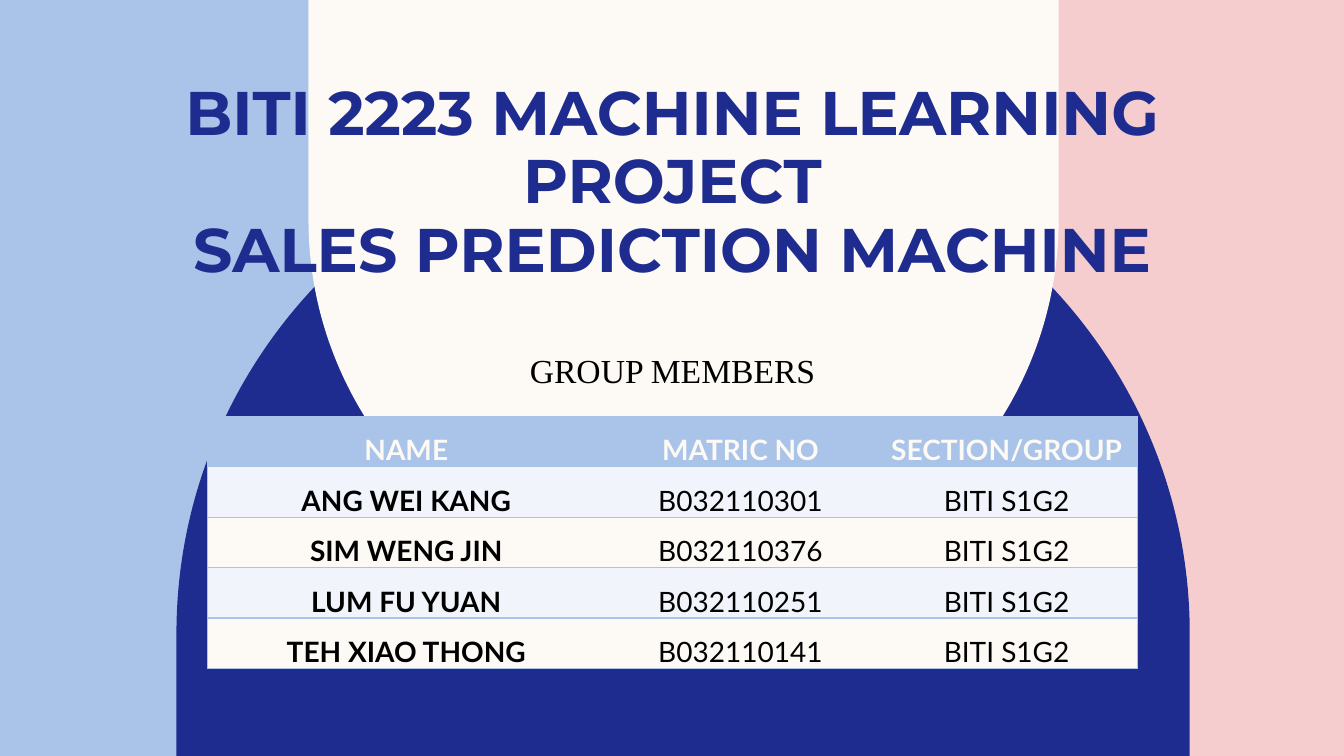
from lxml import etree
from pptx import Presentation
from pptx.dml.color import RGBColor
from pptx.enum.shapes import MSO_SHAPE as Shape
from pptx.enum.text import MSO_ANCHOR as Anchor, PP_ALIGN as Align
from pptx.oxml.ns import qn
from pptx.util import Inches, Pt

COLORS = {
    "pink": "F5CDCE",
    "blue": "AAC3E8",
    "navy": "1F2C8F",
    "cream": "FDFAF6",
    "pale": "F1F5FB",
    "black": "000000",
}
TITLE = "BITI 2223 MACHINE LEARNING\vPROJECT\vSALES PREDICTION MACHINE"
MEMBERS = [
    ("NAME", "MATRIC NO", "SECTION/GROUP"),
    ("ANG WEI KANG", "B032110301", "BITI S1G2"),
    ("SIM WENG JIN", "B032110376", "BITI S1G2"),
    ("LUM FU YUAN", "B032110251", "BITI S1G2"),
    ("TEH XIAO THONG", "B032110141", "BITI S1G2"),
]
COLUMN_WIDTHS = (3.94, 2.69, 2.59)
ROW_HEIGHT = 0.45
QUARTER_ARC = 0.55  # share of the way to the corner for a Bézier quarter circle


def rgb(name):
    return RGBColor.from_string(COLORS[name])


def paint(shape, color):
    shape.shadow.inherit = False
    shape.fill.solid()
    shape.fill.fore_color.rgb = rgb(color)
    shape.line.fill.background()


def write(frame, text, *, font, size, color, bold=False, spacing=None, after=None):
    """Fill a text frame with one centred paragraph."""
    paragraph = frame.paragraphs[0]
    paragraph.text = text
    paragraph.alignment = Align.CENTER
    paragraph.line_spacing = spacing
    paragraph.space_after = after
    for run in paragraph.runs:
        run.font.name = font
        run.font.size = Pt(size)
        run.font.bold = bold
        run.font.color.rgb = rgb(color)


def add_text(slide, box, text, margins=(0, 0, 0, 0), **text_format):
    frame = slide.shapes.add_textbox(*map(Inches, box)).text_frame
    frame.word_wrap = True
    frame.vertical_anchor = Anchor.TOP
    (frame.margin_left, frame.margin_top,
     frame.margin_right, frame.margin_bottom) = map(Inches, margins)
    write(frame, text, **text_format)


def bend(segment, start, corner, end):
    """Turn a straight path segment into a quarter arc that bulges to the corner."""
    segment.clear()
    segment.tag = qn("a:cubicBezTo")
    controls = [tuple(p + QUARTER_ARC * (c - p) for p, c in zip(point, corner))
                for point in (start, end)]
    for x, y in (*controls, end):
        etree.SubElement(segment, qn("a:pt"), x=str(round(x)), y=str(round(y)))


def add_arch(slide, box, color, inverted=False):
    """Draw a panel with one semicircular end: the top, or the bottom if inverted."""
    left, top, width, height = map(Inches, box)
    radius = width // 2
    flat, shoulder, tip = height, radius, 0
    if inverted:
        flat, shoulder, tip = 0, height - radius, height
    points = [(0, flat), (width, flat), (width, shoulder), (radius, tip), (0, shoulder)]
    builder = slide.shapes.build_freeform(*points[0])
    builder.add_line_segments(points[1:], close=True)
    shape = builder.convert_to_shape(left, top)
    right_segment, left_segment = list(shape._element.iter(qn("a:lnTo")))[-2:]
    bend(right_segment, points[2], (width, tip), points[3])
    bend(left_segment, points[3], (0, tip), points[4])
    paint(shape, color)


def add_background(slide, width, height):
    slide.background.fill.solid()
    slide.background.fill.fore_color.rgb = rgb("pink")
    panel = slide.shapes.add_shape(Shape.RECTANGLE, 0, 0, Inches(5.79), Inches(height))
    paint(panel, "blue")
    arch_top = 1.26
    add_arch(slide, (1.75, arch_top, 10.05, height - arch_top), "navy")
    add_arch(slide, (3.06, 0, 7.44, 5.9), "cream", inverted=True)


def set_borders(cell, visible_sides):
    properties = cell._tc.get_or_add_tcPr()
    for side in "LRTB":
        line = etree.SubElement(properties, qn(f"a:ln{side}"), w=str(Pt(1)))
        if side in visible_sides:
            fill = etree.SubElement(line, qn("a:solidFill"))
            etree.SubElement(fill, qn("a:srgbClr"), val=COLORS["blue"])
        else:
            etree.SubElement(line, qn("a:noFill"))


def add_members_table(slide, left, top):
    last_column = len(COLUMN_WIDTHS) - 1
    table = slide.shapes.add_table(
        len(MEMBERS), len(COLUMN_WIDTHS), Inches(left), Inches(top),
        Inches(sum(COLUMN_WIDTHS)), Inches(ROW_HEIGHT * len(MEMBERS))).table
    for column, width in zip(table.columns, COLUMN_WIDTHS):
        column.width = Inches(width)
    for row_index, values in enumerate(MEMBERS):
        table.rows[row_index].height = Inches(ROW_HEIGHT)
        is_header = row_index == 0
        band = "blue" if is_header else ("cream", "pale")[row_index % 2]
        for column_index, value in enumerate(values):
            cell = table.cell(row_index, column_index)
            sides = {0: "LTB", last_column: "RTB"}.get(column_index, "TB")
            set_borders(cell, sides)
            cell.fill.solid()
            cell.fill.fore_color.rgb = rgb(band)
            cell.margin_left = cell.margin_right = Inches(0.07)
            cell.margin_top = cell.margin_bottom = 0
            write(cell.text_frame, value, font="Lato", size=20,
                  color="cream" if is_header else "black",
                  bold=is_header or column_index == 0, spacing=1.5, after=Pt(8))


def build_title_slide(presentation, width, height):
    slide = presentation.slides.add_slide(presentation.slide_layouts[6])
    add_background(slide, width, height)
    add_text(slide, (1.19, 0.79, 10.96, 2.03), TITLE, margins=(0.1, 0, 0.1, 0.05),
             font="Montserrat", size=44, color="navy", bold=True, spacing=Pt(48.8))
    add_text(slide, (4.76, 3.47, 3.82, 0.56), "GROUP MEMBERS",
             font="Times New Roman", size=24, color="black")
    add_members_table(slide, 2.06, 4.13)


def main():
    width, height = 13.33, 7.5
    presentation = Presentation()
    presentation.slide_width = Inches(width)
    presentation.slide_height = Inches(height)
    build_title_slide(presentation, width, height)
    presentation.save("out.pptx")


if __name__ == "__main__":
    main()
